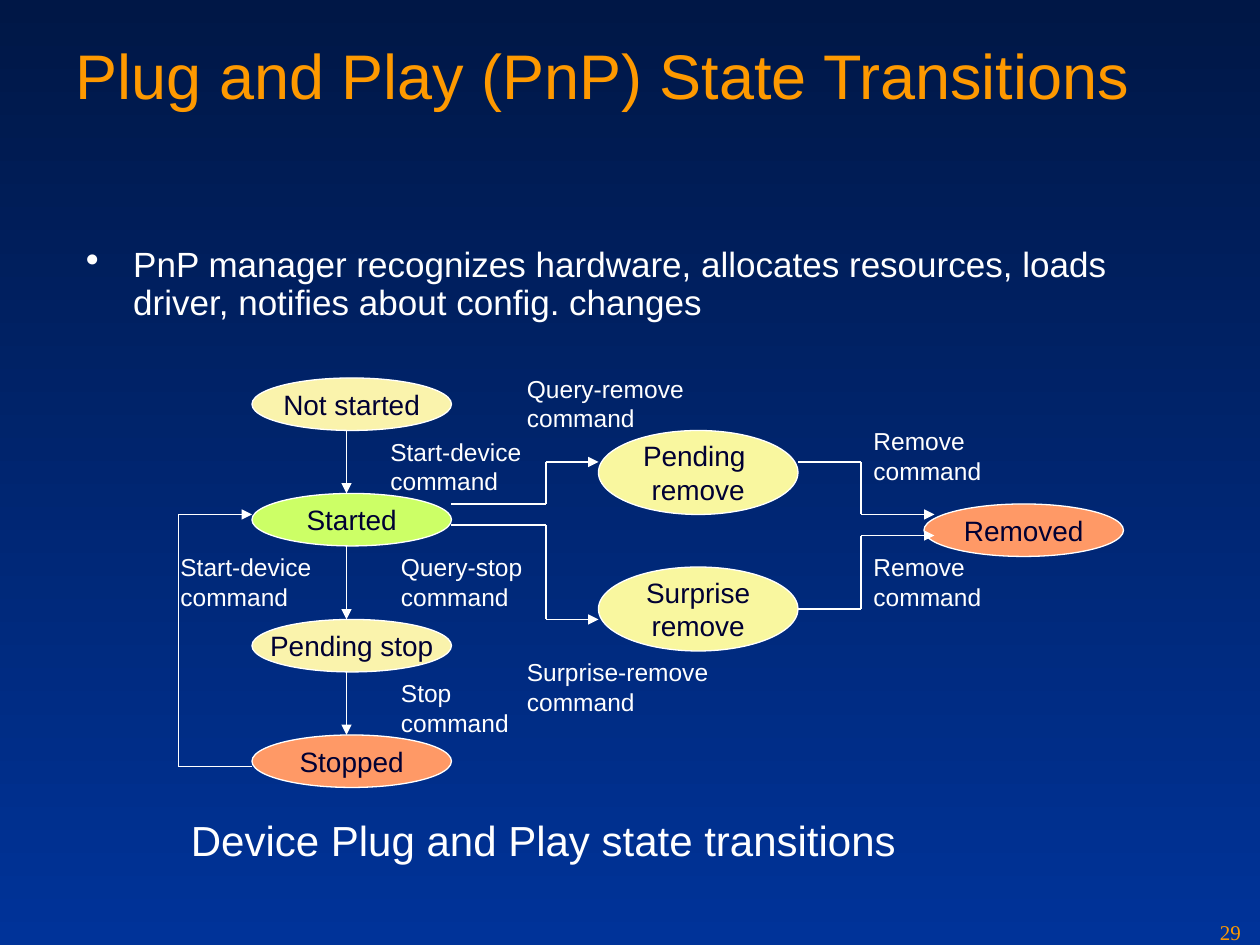
from copy import deepcopy
from itertools import pairwise

from lxml.etree import SubElement
from pptx import Presentation
from pptx.dml.color import RGBColor
from pptx.enum.shapes import MSO_CONNECTOR as Connector, MSO_SHAPE as Shape
from pptx.enum.text import MSO_ANCHOR as Anchor, MSO_AUTO_SIZE as AutoSize, PP_ALIGN as Align
from pptx.oxml.ns import qn
from pptx.util import Emu, Pt

PX = 7620  # 120 px to the inch
COLORS = {
    "night": "001746", "blue": "003399", "orange": "FE9900", "white": "FFFFFF",
    "ink": "000033", "cream": "FAF3AC", "yellow": "F9F79F",
    "green": "CCFF66", "coral": "FF9966",
}


def color(name):
    return RGBColor.from_string(COLORS[name])


def px(*lengths):
    return [Emu(length * PX) for length in lengths]


def add_xml(parent, tag, **attributes):
    return SubElement(parent, qn(tag), attributes)


class SlideBuilder:
    def __init__(self, deck):
        self.page = deck.slides.add_slide(deck.slide_layouts[5])
        self.shapes = self.page.shapes

    def background(self, top, bottom):
        fill = self.page.background.fill
        fill.gradient()
        fill.gradient_angle = 270
        for stop, name in zip(fill.gradient_stops, (top, bottom)):
            stop.color.rgb = color(name)

    def fill_text(self, box, text, size, ink="white", font="Arial", align=Align.LEFT,
                  anchor=Anchor.TOP, wrap=True):
        frame = box.text_frame
        frame_format = {"auto_size": AutoSize.NONE, "word_wrap": wrap, "vertical_anchor": anchor}
        for name, value in frame_format.items():
            setattr(frame, name, value)
        para = frame.paragraphs[0]
        para.text = text
        para.alignment = align
        for span in para.runs:
            for name, value in {"size": Pt(size), "name": font}.items():
                setattr(span.font, name, value)
            span.font.color.rgb = color(ink)
        # Line breaks carry the size of the text around them
        for line_break in para._p.findall(qn("a:br")):
            line_break.append(deepcopy(para.runs[0].font._rPr))
        return para

    def title(self, text, area):
        box = self.shapes.title
        box.left, box.top, box.width, box.height = px(*area)
        self.fill_text(box, text, 36, "orange")

    def text(self, text, area, size=14, **style):
        box = self.shapes.add_textbox(*px(*area))
        return self.fill_text(box, text, size, **style)

    def bullet(self, text, area, size):
        para = self.text(text, area, size)
        properties = para._p.get_or_add_pPr()
        properties.set("marL", str(45 * PX))
        properties.set("indent", str(-45 * PX))
        add_xml(add_xml(properties, "a:buClr"), "a:srgbClr", val=COLORS["white"])
        add_xml(properties, "a:buSzPct", val="110000")
        add_xml(properties, "a:buChar", char="•")
        for name, value in {"line_spacing": 0.9, "space_after": Pt(5)}.items():
            setattr(para, name, value)

    def state(self, text, left, top, height, fill):
        oval = self.shapes.add_shape(Shape.OVAL, *px(left, top, 190, height))
        oval.shadow.inherit = False
        oval.fill.solid()
        oval.fill.fore_color.rgb = color(fill)
        oval.line.color.rgb = color("white")
        oval.line.width = Pt(0.75)
        self.fill_text(oval, text, 16, "ink", align=Align.CENTER, anchor=Anchor.MIDDLE, wrap=False)

    def route(self, *points):
        """Straight lines through the points, with an arrowhead at the last."""
        for start, end in pairwise(points):
            line = self.shapes.add_connector(Connector.STRAIGHT, *px(*start, *end))
            line.line.color.rgb = color("white")
            line.line.width = Pt(0.75)
            if end == points[-1]:
                add_xml(line.line._get_or_add_ln(), "a:tailEnd", type="triangle")
            add_xml(line._element.spPr, "a:effectLst")


def main():
    deck = Presentation()
    deck.slide_width, deck.slide_height = px(1200, 900)
    slide = SlideBuilder(deck)
    slide.background("night", "blue")

    # Heading and bullet
    slide.title("Plug and Play (PnP) State Transitions", (60, 29, 1080, 150))
    slide.bullet("PnP manager recognizes hardware, allocates resources, loads driver, "
                 "notifies about config. changes", (70, 230, 1060, 100), 20)

    # States
    for state in (
        ("Not started", 240, 360, 50, "cream"),
        ("Started", 240, 470, 50, "green"),
        ("Pending stop", 240, 590, 50, "cream"),
        ("Stopped", 240, 700, 50, "coral"),
        ("Pending \nremove", 570, 410, 80, "yellow"),
        ("Surprise\nremove", 570, 540, 80, "yellow"),
        ("Removed", 880, 480, 50, "coral"),
    ):
        slide.state(*state)

    # Transitions
    for top, bottom in ((410, 470), (520, 590), (640, 700)):
        slide.route((330, top), (330, bottom))
    slide.route((240, 730), (170, 730), (170, 490), (240, 490))
    for left, bend, right, start, end in (
        (430, 520, 570, 480, 440),
        (430, 520, 570, 500, 590),
        (760, 820, 890, 440, 490),
        (760, 820, 890, 580, 510),
    ):
        slide.route((left, start), (bend, start), (bend, end), (right, end))

    # Transition labels
    for command, left, top, width in (
        ("Start-device", 160, 520, 149),
        ("Start-device", 360, 410, 149),
        ("Query-stop", 370, 520, 139),
        ("Stop", 370, 640, 126),
        ("Query-remove", 490, 350, 173),
        ("Surprise-remove", 490, 620, 197),
        ("Remove", 820, 400, 126),
        ("Remove", 820, 520, 126),
    ):
        slide.text(f"{command}\ncommand", (left, top, width, 68), wrap=False)

    # Caption and page number
    slide.text("Device Plug and Play state transitions", (170, 770, 695, 60), 24, wrap=False)
    slide.text("29", (1150, 870, 50, 30), 12, ink="orange", font="Times New Roman")

    deck.save("out.pptx")


if __name__ == "__main__":
    main()
